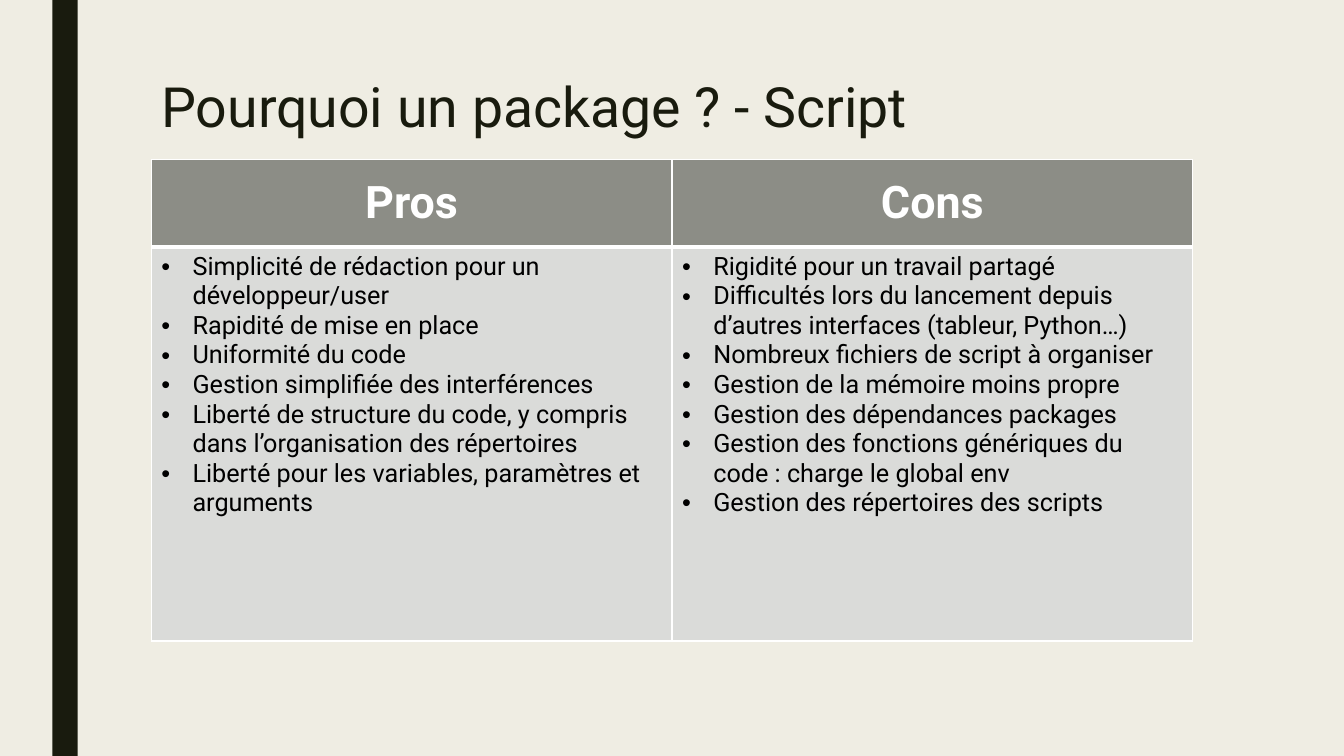
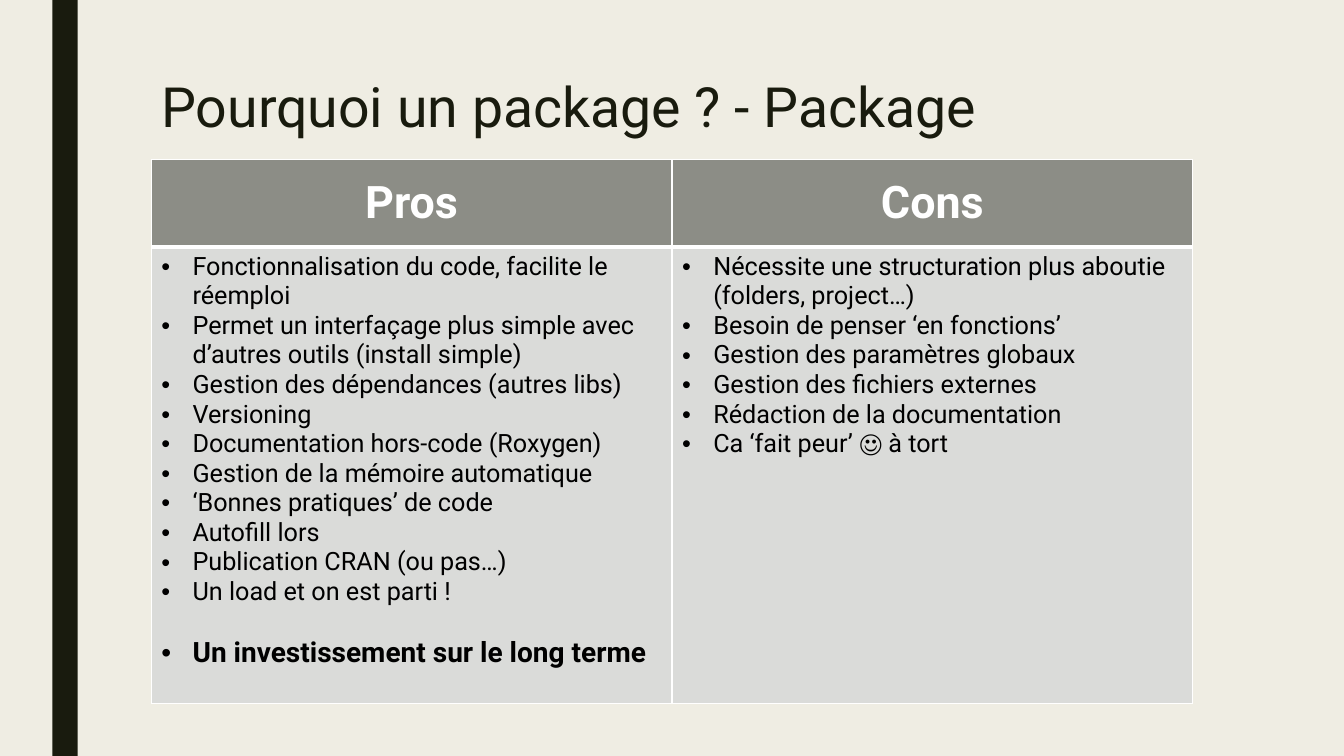
from dataclasses import dataclass
from lxml.etree import SubElement
from pptx import Presentation
from pptx.dml.color import RGBColor as RGB
from pptx.enum.shapes import MSO_SHAPE as Shape
from pptx.enum.text import MSO_ANCHOR as Anchor, MSO_AUTO_SIZE as Fit, PP_ALIGN as Align
from pptx.oxml import parse_xml
from pptx.oxml.ns import nsdecls, qn
from pptx.util import Inches, Pt

HEADS = ["Pros", "Cons"]
PAGES = [
    {
        "title": "Pourquoi un package ? - Script",
        "depth": 3.91,
        "lists": [
            [
                "Simplicité de rédaction pour un développeur/user",
                "Rapidité de mise en place",
                "Uniformité du code",
                "Gestion simplifiée des interférences",
                "Liberté de structure du code, y compris dans l’organisation des répertoires",
                "Liberté pour les variables, paramètres et arguments",
            ],
            [
                "Rigidité pour un travail partagé",
                "Difficultés lors du lancement depuis d’autres interfaces (tableur, Python…)",
                "Nombreux fichiers de script à organiser",
                "Gestion de la mémoire moins propre",
                "Gestion des dépendances packages",
                "Gestion des fonctions génériques du code : charge le global env",
                "Gestion des répertoires des scripts",
            ],
        ],
    },
    {
        "title": "Pourquoi un package ? - Package",
        "depth": 4.53,
        "lists": [
            [
                "Fonctionnalisation du code, facilite le réemploi",
                "Permet un interfaçage plus simple avec d’autres outils (install simple)",
                "Gestion des dépendances (autres libs)",
                "Versioning",
                "Documentation hors-code (Roxygen)",
                "Gestion de la mémoire automatique",
                "‘Bonnes pratiques’ de code",
                "Autofill lors",
                "Publication CRAN (ou pas…)",
                "Un load et on est parti !",
            ],
            [
                "Nécessite une structuration plus aboutie (folders, project…)",
                "Besoin de penser ‘en fonctions’",
                "Gestion des paramètres globaux",
                "Gestion des fichiers externes",
                "Rédaction de la documentation",
                "Ca ‘fait peur’ ☺ à tort",
            ],
        ],
        "close": "Un investissement sur le long terme",
    },
]


@dataclass(frozen=True)
class Theme:
    face: str = "Roboto"
    paper: str = "EFEDE3"
    ink: str = "191B0E"
    head: str = "8C8D86"
    body: str = "DADBD9"
    white: str = "FFFFFF"
    black: str = "000000"
    title: float = 39.6
    label: int = 32
    item: int = 18
    close: int = 20
    gap: int = 21


T = Theme()
LEFT, TOP, WIDE, HEAD = 1.5, 1.58, 10.33, 0.87


def paint(fill, hue):
    fill.solid()
    fill.fore_color.rgb = RGB.from_string(hue)


def style(para, size, hue, bold=False):
    font = para.font
    font.name, font.size, font.bold = T.face, Pt(size), bold
    font.color.rgb = RGB.from_string(hue)


def bullet(para):
    props = para._p.get_or_add_pPr()
    props.set("marL", str(Inches(0.31)))
    props.set("indent", str(-Inches(0.31)))
    SubElement(props, qn("a:buFont")).set("typeface", "Arial")
    SubElement(props, qn("a:buChar")).set("char", "•")


def edge(cell, base):
    props = cell._tc.get_or_add_tcPr()
    for i, (side, width) in enumerate(zip("LRTB", (1, 1, 1, base))):
        props.insert(i, parse_xml(
            f'<a:ln{side} {nsdecls("a")} w="{Pt(width)}"><a:solidFill>'
            f'<a:srgbClr val="{T.white}"/></a:solidFill></a:ln{side}>'))


def frame(deck, text):
    slide = deck.slides.add_slide(deck.slide_layouts[5])
    band = slide.shapes.add_shape(
        Shape.RECTANGLE, Inches(0.52), 0, Inches(0.25), deck.slide_height)
    band.shadow.inherit = False
    paint(band.fill, T.ink)
    band.line.fill.background()
    title = slide.shapes.title
    title.left, title.top = Inches(LEFT), Inches(0.75)
    title.width, title.height = Inches(10.5), Inches(0.82)
    box = title.text_frame
    box.text, box.word_wrap = text, True
    box.auto_size, box.vertical_anchor = Fit.NONE, Anchor.TOP
    para = box.paragraphs[0]
    para.alignment, para.line_spacing = Align.LEFT, 0.89
    style(para, T.title, T.ink)
    return slide


def label(cell, text):
    cell.text, cell.vertical_anchor = text, Anchor.MIDDLE
    paint(cell.fill, T.head)
    edge(cell, 3)
    para = cell.text_frame.paragraphs[0]
    para.alignment = Align.CENTER
    style(para, T.label, T.white, True)


def fill_list(cell, items, close):
    cell.text = "\n".join(items + ([close] if close else []))
    cell.vertical_anchor = Anchor.TOP
    paint(cell.fill, T.body)
    edge(cell, 1)
    for i, para in enumerate(cell.text_frame.paragraphs):
        last = i == len(items)
        if last:
            para.space_before = Pt(T.gap)
        bullet(para)
        style(para, T.close if last else T.item, T.black, last)


def grid(slide, page):
    depth = page["depth"]
    table = slide.shapes.add_table(
        2, len(HEADS), Inches(LEFT), Inches(TOP), Inches(WIDE), Inches(HEAD + depth)).table
    table.horz_banding = False
    table.rows[0].height, table.rows[1].height = Inches(HEAD), Inches(depth)
    ends = [page.get("close"), None]
    for col, (head, items, close) in enumerate(zip(HEADS, page["lists"], ends)):
        label(table.cell(0, col), head)
        fill_list(table.cell(1, col), items, close)


def main():
    deck = Presentation()
    deck.slide_width, deck.slide_height = Inches(13.33), Inches(7.5)
    paint(deck.slide_master.background.fill, T.paper)
    for page in PAGES:
        grid(frame(deck, page["title"]), page)
    deck.save("out.pptx")


if __name__ == "__main__":
    main()
